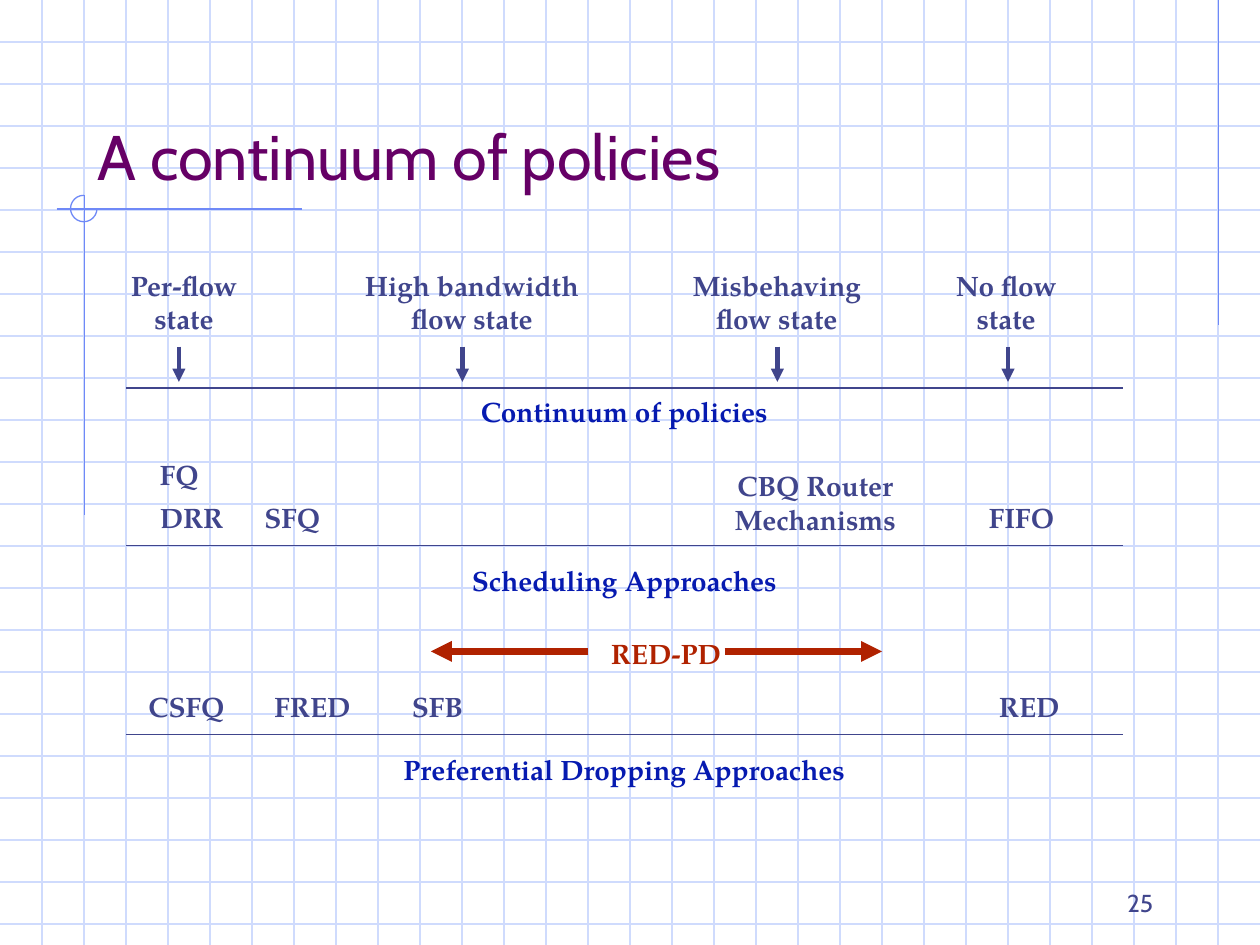
import dataclasses

import lxml.etree
import pptx
import pptx.dml.color
import pptx.enum.shapes
import pptx.enum.text
import pptx.oxml.ns
import pptx.util

Inches = pptx.util.Inches
Pt = pptx.util.Pt
ALIGN = pptx.enum.text.PP_ALIGN
ANCHOR = pptx.enum.text.MSO_ANCHOR
qn = pptx.oxml.ns.qn


@dataclasses.dataclass(frozen=True)
class Theme:
    paper: str = "FFFFFF"
    grid: str = "CFDBFD"
    ornament: str = "6F89F7"
    title: str = "660066"
    text: str = "40458C"
    heading: str = "061AB0"
    accent: str = "B02200"
    title_font: str = "Cabin"
    body_font: str = "TeX Gyre Pagella"
    title_size: int = 36
    body_size: int = 16
    number_size: int = 14
    thin: float = 0.75
    pointer: float = 2.5
    thick: float = 4


THEME = Theme()


def rgb(color):
    return pptx.dml.color.RGBColor.from_string(color)


def add_line(s, x1, y1, x2, y2, color, width=THEME.thin, arrow=False):
    line = s.shapes.add_connector(
        pptx.enum.shapes.MSO_CONNECTOR.STRAIGHT,
        Inches(x1), Inches(y1), Inches(x2), Inches(y2))
    line.line.color.rgb = rgb(color)
    line.line.width = Pt(width)
    if arrow:
        ln = line.line._get_or_add_ln()
        lxml.etree.SubElement(ln, qn("a:tailEnd"), type="triangle")
    lxml.etree.SubElement(line.element.spPr, qn("a:effectLst"))


def format_text(tf, text, size, font, color, align, bold=False):
    tf.word_wrap = True
    tf.text = text
    for p in tf.paragraphs:
        p.alignment = align
        for r in p.runs:
            r.font.size = Pt(size)
            r.font.name = font
            r.font.bold = bold
            r.font.color.rgb = rgb(color)


def add_label(s, text, x, y, w, h=0.37, color=THEME.text, align=ALIGN.LEFT):
    tf = s.shapes.add_textbox(Inches(x), Inches(y), Inches(w), Inches(h)).text_frame
    format_text(tf, text, THEME.body_size, THEME.body_font, color, align, True)
    tf.auto_size = pptx.enum.text.MSO_AUTO_SIZE.SHAPE_TO_FIT_TEXT


def add_grid(s, x, y, w, h):
    step = 1 / 3
    for i in range(1, int(h / step) + 1):
        add_line(s, x, y + i * step, x + w, y + i * step, THEME.grid)
    for i in range(1, round(w / step)):
        add_line(s, x + i * step, y, x + i * step, y + h, THEME.grid)


def add_ornament(s, x, y, w, h):
    add_line(s, x + w, y, x + w, y + 2.58, THEME.ornament)
    add_line(s, x, y + 1.66, x + 1.95, y + 1.66, THEME.ornament)
    add_line(s, x + 0.22, y + 1.55, x + 0.22, y + h, THEME.ornament)
    arc = s.shapes.add_shape(
        pptx.enum.shapes.MSO_SHAPE.ARC,
        Inches(x + 0.11), Inches(y + 1.55), Inches(0.21), Inches(0.21))
    arc.adjustments[0] = 0
    arc.adjustments[1] = 162
    arc.shadow.inherit = False
    arc.fill.background()
    arc.line.color.rgb = rgb(THEME.ornament)
    arc.line.width = Pt(THEME.thin)


def add_title(s, text, x, y, w, h):
    title = s.shapes.title
    title.left, title.top = Inches(x), Inches(y)
    title.width, title.height = Inches(w), Inches(h)
    tf = title.text_frame
    format_text(tf, text, THEME.title_size, THEME.title_font, THEME.title, ALIGN.LEFT)
    tf.vertical_anchor = ANCHOR.BOTTOM
    tf.auto_size = pptx.enum.text.MSO_AUTO_SIZE.NONE
    s.shapes.element.append(title.element)


def add_axis(s, name, x, y, w, gap):
    add_line(s, x, y, x + w, y, THEME.text)
    add_label(s, name, x, y + gap, w, color=THEME.heading, align=ALIGN.CENTER)


def add_policies(s, x, y, w):
    add_axis(s, "Continuum of policies", x, y + 1, w, 0)
    states = [
        ("Per-flow\vstate", -0.25, 1.42, 0.42),
        ("High bandwidth flow state", 1.67, 2.15, 2.67),
        ("Misbehaving flow state", 4.25, 1.83, 5.17),
        ("No flow\vstate", 6.36, 1.25, 7),
    ]
    for text, left, width, pointer in states:
        add_label(s, text, x + left, y, width, 0.64, align=ALIGN.CENTER)
        add_line(s, x + pointer, y + 0.67, x + pointer, y + 0.95,
                 THEME.text, THEME.pointer, True)


def add_scheduling(s, x, y, w):
    add_axis(s, "Scheduling Approaches", x, y + 0.75, w, 0.09)
    for text, left, top, width in [
        ("FQ", 0.17, 0, 0.58),
        ("DRR", 0.17, 0.34, 0.75),
        ("SFQ", 1, 0.34, 0.8),
        ("FIFO", 6.75, 0.34, 1.23),
    ]:
        add_label(s, text, x + left, y + top, width)
    add_label(s, "CBQ Router Mechanisms", x + 4.17, y + 0.09, 2.6, 0.64,
              align=ALIGN.CENTER)


def add_dropping(s, x, y, w):
    add_axis(s, "Preferential Dropping Approaches", x, y + 0.83, w, 0.09)
    for text, left in [("CSFQ", 0.08), ("FRED", 1.08), ("SFB", 2.17), ("RED", 6.83)]:
        add_label(s, text, x + left, y + 0.42, 1.24)
    add_label(s, "RED-PD", x + 3.75, y, 1.63, color=THEME.accent)
    for start, end in [(3.67, 2.42), (4.75, 6)]:
        add_line(s, x + start, y + 0.17, x + end, y + 0.17,
                 THEME.accent, THEME.thick, True)


def add_number(s, text, x, y, w, h):
    tf = s.shapes.add_textbox(Inches(x), Inches(y), Inches(w), Inches(h)).text_frame
    format_text(tf, text, THEME.number_size, THEME.title_font, THEME.text, ALIGN.RIGHT)
    tf.vertical_anchor = ANCHOR.BOTTOM


def main():
    prs = pptx.Presentation()
    prs.slide_width, prs.slide_height = Inches(10), Inches(7.5)
    s = prs.slides.add_slide(prs.slide_layouts[5])
    s.background.fill.solid()
    s.background.fill.fore_color.rgb = rgb(THEME.paper)
    add_grid(s, 0, 0, 10, 7.5)
    add_ornament(s, 0.45, 0, 9.22, 4.09)
    add_title(s, "A continuum of policies", 0.67, 0.92, 8.5, 0.66)
    add_policies(s, 1, 2.08, 7.91)
    add_scheduling(s, 1, 3.58, 7.91)
    add_dropping(s, 1, 5, 7.91)
    add_number(s, "25", 7.17, 6.83, 2.08, 0.5)
    prs.save("out.pptx")


if __name__ == "__main__":
    main()
